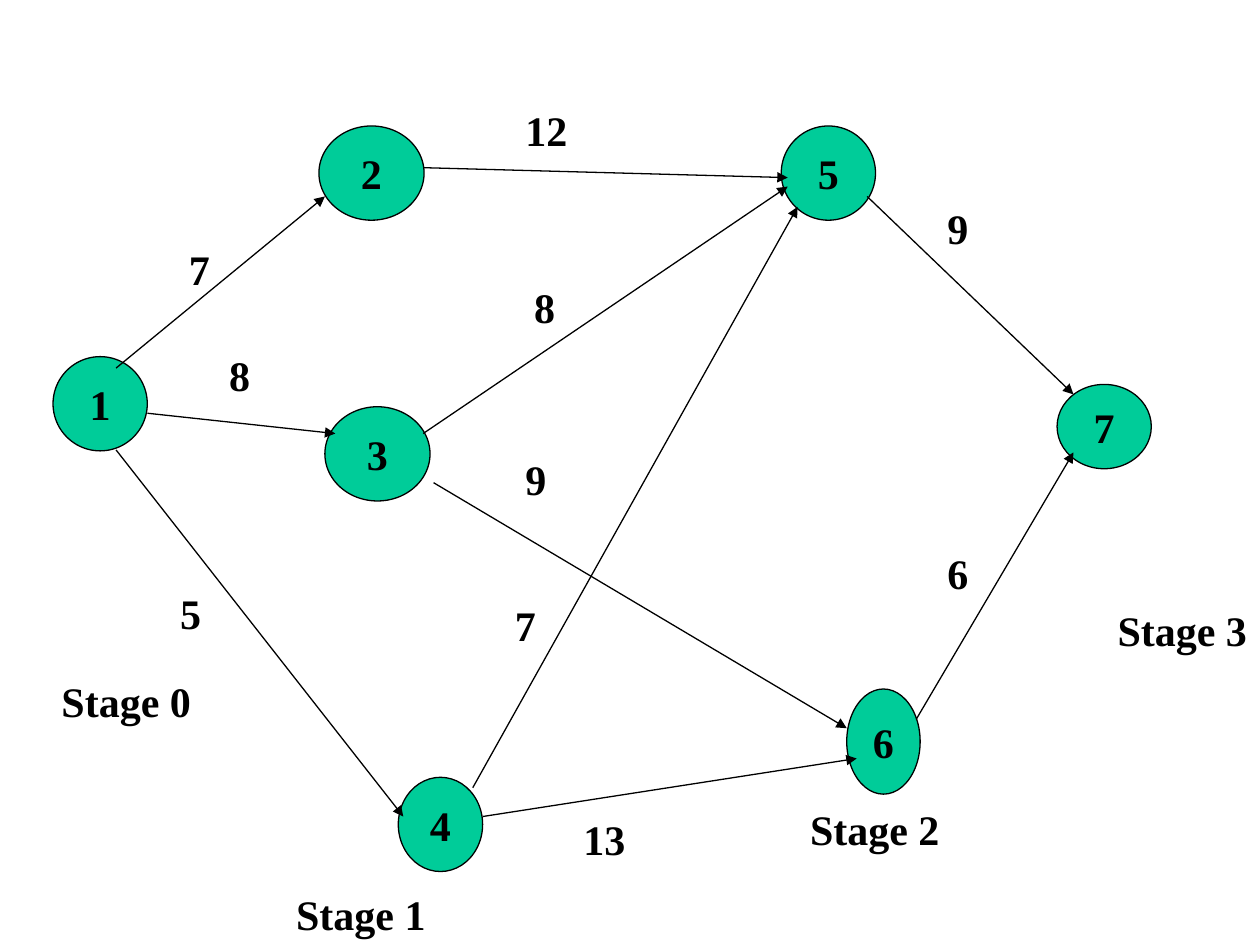
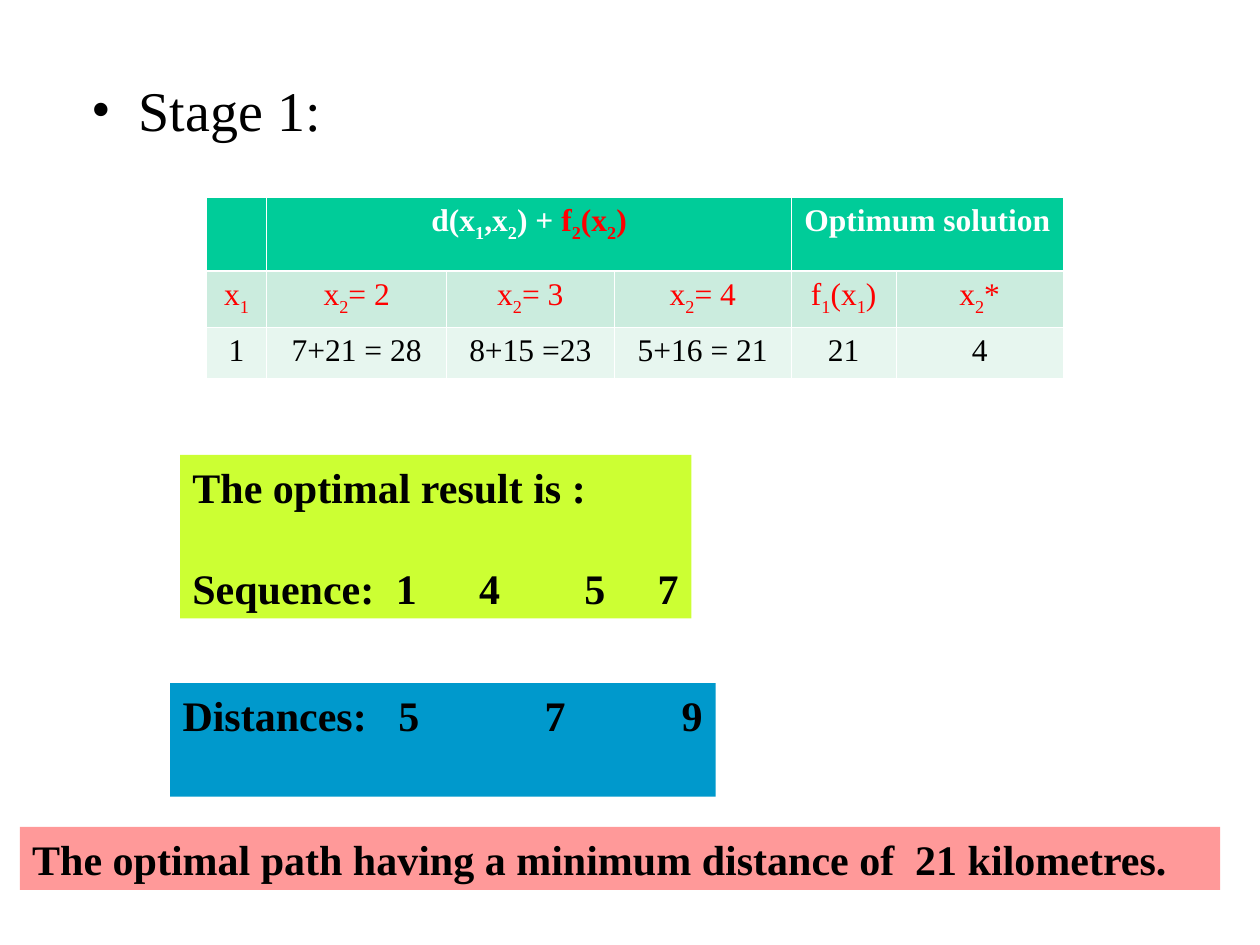
from lxml import etree
from pptx import Presentation
from pptx.dml.color import RGBColor
from pptx.enum.shapes import MSO_CONNECTOR, MSO_SHAPE
from pptx.enum.text import MSO_ANCHOR, PP_ALIGN
from pptx.oxml.ns import qn
from pptx.util import Cm, Pt

OVAL = MSO_SHAPE.OVAL
RECTANGLE = MSO_SHAPE.RECTANGLE
STRAIGHT = MSO_CONNECTOR.STRAIGHT
CENTER = PP_ALIGN.CENTER
LEFT = PP_ALIGN.LEFT
MIDDLE = MSO_ANCHOR.MIDDLE
TOP = MSO_ANCHOR.TOP

FONT = "Times New Roman"
BLACK, WHITE, RED, GREEN = "000000", "FFFFFF", "FF0000", "00CC99"
LIME, BLUE, PINK = "CCFF33", "0099CC", "FF9999"
ROW_FILLS = (GREEN, "CBECDE", "E7F6EF")
SLIDE_BOX = (0, 0, 25.4, 19.05)

NODES = {
    "2": (6.43, 2.54, 2.12, 1.9),
    "5": (15.75, 2.54, 1.9, 1.9),
    "1": (1.07, 7.19, 1.9, 1.9),
    "3": (6.55, 8.2, 2.12, 1.9),
    "4": (8.03, 15.67, 1.7, 1.9),
    "7": (21.31, 7.75, 1.9, 1.7),
    "6": (17.07, 13.89, 1.48, 2.12),
}
ROADS = [
    ((2.34, 7.42), (6.55, 3.96), "7", (3.56, 4.78)),
    ((2.34, 9.07), (8.13, 16.46), "5", (3.38, 11.71)),
    ((2.97, 8.33), (6.76, 8.74), "8", (4.37, 6.93)),
    ((17.48, 3.96), (21.64, 7.95), "9", (18.85, 3.96)),
    ((18.47, 14.5), (21.64, 9.12), "6", (18.85, 10.92)),
    ((9.73, 16.46), (17.27, 15.29), "13", (11.51, 16.28)),
    ((8.74, 9.73), (17.07, 14.68), "9", (10.34, 9.02)),
    ((8.53, 3.38), (15.88, 3.58), "12", (10.34, 1.98)),
    ((8.53, 8.74), (15.88, 3.76), "8", (10.52, 5.56)),
    ((9.53, 15.88), (16.08, 4.17), "7", (10.13, 11.96)),
]
STAGES = [(0.99, 13.49), (5.72, 17.78), (16.08, 16.08), (22.28, 12.07)]

COLUMN_WIDTHS = (1.22, 3.63, 3.38, 3.58, 2.11, 3.38)
ROW_HEIGHTS = (1.5, 1.13, 1.02)
STAGE_ROWS = [
    ["", "d(x_1,x_2) + |f_2(x_2)", "", "", "Optimum solution", ""],
    ["x_1", "x_2= 2", "x_2= 3", "x_2= 4", "f_1(x_1)", "x_2*"],
    ["1", "7+21 = 28", "8+15 =23", "5+16 = 21", "21", "4"],
]
ROW_COLORS = (WHITE, RED, BLACK)


def rgb(value):
    return RGBColor.from_string(value)


def cms(values):
    return [Cm(value) for value in values]


def style(paragraph, size=24, bold=True, color=BLACK, align=LEFT):
    paragraph.alignment = align
    font = paragraph.font
    font.name, font.size, font.bold = FONT, Pt(size), bold
    font.color.rgb = rgb(color)


def add_label(slide, text, box):
    frame = slide.shapes.add_textbox(*cms(box)).text_frame
    frame.word_wrap = False
    frame.margin_right = 0
    frame.text = text
    style(frame.paragraphs[0])


def add_filled(slide, kind, box, fill):
    shape = slide.shapes.add_shape(kind, *cms(box))
    shape.shadow.inherit = False
    shape.fill.solid()
    shape.fill.fore_color.rgb = rgb(fill)
    shape.line.fill.background()
    return shape


def add_node(slide, number, box):
    node = add_filled(slide, OVAL, box, GREEN)
    node.line.color.rgb = rgb(BLACK)
    node.line.width = Pt(0.75)
    frame = node.text_frame
    frame.word_wrap = False
    frame.vertical_anchor = MIDDLE
    frame.text = number
    style(frame.paragraphs[0], align=CENTER)


def add_road(slide, start, end):
    road = slide.shapes.add_connector(STRAIGHT, *cms(start + end))
    road.line.color.rgb = rgb(BLACK)
    road.line.width = Pt(0.75)
    etree.SubElement(road.line._get_or_add_ln(), qn("a:tailEnd"), type="triangle")
    etree.SubElement(road._element.spPr, qn("a:effectLst"))


def draw_network(slide, box):
    left, top = box[:2]

    def shift(point):
        return left + point[0], top + point[1]

    for number, spot in NODES.items():
        add_node(slide, number, shift(spot) + spot[2:])
    for start, end, distance, spot in ROADS:
        add_road(slide, shift(start), shift(end))
        width = 0.5 + 0.44 * len(distance)
        add_label(slide, distance, shift(spot) + (width, 1.27))
    for stage, spot in enumerate(STAGES):
        add_label(slide, f"Stage {stage}", shift(spot) + (3.12, 1.27))


def draw_heading(slide, text, box):
    frame = slide.shapes.add_textbox(*cms(box)).text_frame
    frame.word_wrap = True
    frame.text = text
    heading = frame.paragraphs[0]
    style(heading, size=32, bold=False)
    heading.space_before = Pt(8)
    properties = heading._p.get_or_add_pPr()
    properties.set("marL", str(Cm(0.95)))
    properties.set("indent", str(-Cm(0.95)))
    run_defaults = properties.find(qn("a:defRPr"))
    run_defaults.addprevious(etree.Element(qn("a:buFont"), typeface=FONT))
    run_defaults.addprevious(etree.Element(qn("a:buChar"), char="•"))


def add_formula(paragraph, formula, color):
    for part, part_color in zip(formula.split("|"), (color, RED)):
        plain, *indexed = part.split("_")
        pieces = [(plain, False)]
        for piece in indexed:
            pieces += [(piece[0], True), (piece[1:], False)]
        for text, is_index in pieces:
            if text:
                run = paragraph.add_run()
                run.text = text
                run.font.color.rgb = rgb(part_color)
                if is_index:
                    run._r.get_or_add_rPr().set("baseline", "-25000")


def add_borders(cell, row):
    properties = cell._tc.get_or_add_tcPr()
    for side in "LRTB":
        heavy = (row, side) in ((0, "B"), (1, "T"))
        width = Pt(1.5 if heavy else 0.45)
        line = etree.SubElement(properties, qn(f"a:ln{side}"), w=str(width))
        fill = etree.SubElement(line, qn("a:solidFill"))
        etree.SubElement(fill, qn("a:srgbClr"), val=WHITE)


def draw_stage_table(slide, box):
    table = slide.shapes.add_table(
        len(ROW_HEIGHTS), len(COLUMN_WIDTHS), *cms(box)).table
    table.first_row = table.horz_banding = False
    scale_x = box[2] / sum(COLUMN_WIDTHS)
    scale_y = box[3] / sum(ROW_HEIGHTS)
    for column, width in zip(table.columns, COLUMN_WIDTHS):
        column.width = Cm(width * scale_x)
    for row, height in zip(table.rows, ROW_HEIGHTS):
        row.height = Cm(height * scale_y)
    for first, last in ((1, 3), (4, 5)):
        table.cell(0, first).merge(table.cell(0, last))
    for r, formulas in enumerate(STAGE_ROWS):
        for c, formula in enumerate(formulas):
            cell = table.cell(r, c)
            add_borders(cell, r)
            cell.fill.solid()
            cell.fill.fore_color.rgb = rgb(ROW_FILLS[r])
            paragraph = cell.text_frame.paragraphs[0]
            style(paragraph, 18, r == 0, ROW_COLORS[r], CENTER)
            add_formula(paragraph, formula, ROW_COLORS[r])


def draw_banner(slide, lines, box, fill, tabs=(), gap=0):
    frame = add_filled(slide, RECTANGLE, box, fill).text_frame
    frame.word_wrap = True
    frame.vertical_anchor = TOP
    frame.margin_right = 0
    frame.text = "\n".join(lines)
    for index, paragraph in enumerate(frame.paragraphs):
        style(paragraph)
        if index:
            paragraph.space_before = Pt(gap)
        if tabs:
            stops = etree.Element(qn("a:tabLst"))
            for tab in tabs:
                etree.SubElement(stops, qn("a:tab"), pos=str(Cm(tab)), algn="l")
            paragraph._p.pPr.find(qn("a:defRPr")).addprevious(stops)


def main():
    deck = Presentation()
    deck.slide_width, deck.slide_height = cms(SLIDE_BOX[2:])
    blank = deck.slide_layouts[6]

    draw_network(deck.slides.add_slide(blank), SLIDE_BOX)

    result = deck.slides.add_slide(blank)
    draw_heading(result, "Stage 1:", (1.6, 1.4, 21.59, 11.43))
    draw_stage_table(result, (4.16, 3.97, 17.28, 3.65))
    draw_banner(result, ["The optimal result is :", "Sequence:\t1\t4\t5\t7"],
                (3.63, 9.17, 10.31, 3.3), LIME, (4.1, 5.78, 7.9, 9.38), 29)
    draw_banner(result, ["Distances:\t5\t7\t9"],
                (3.43, 13.77, 11, 2.29), BLUE, (4.35, 7.3, 10.06))
    draw_banner(result,
                ["The optimal path having a minimum distance of  21 kilometres."],
                (0.4, 16.67, 24.2, 1.27), PINK)
    deck.save("out.pptx")


if __name__ == "__main__":
    main()
